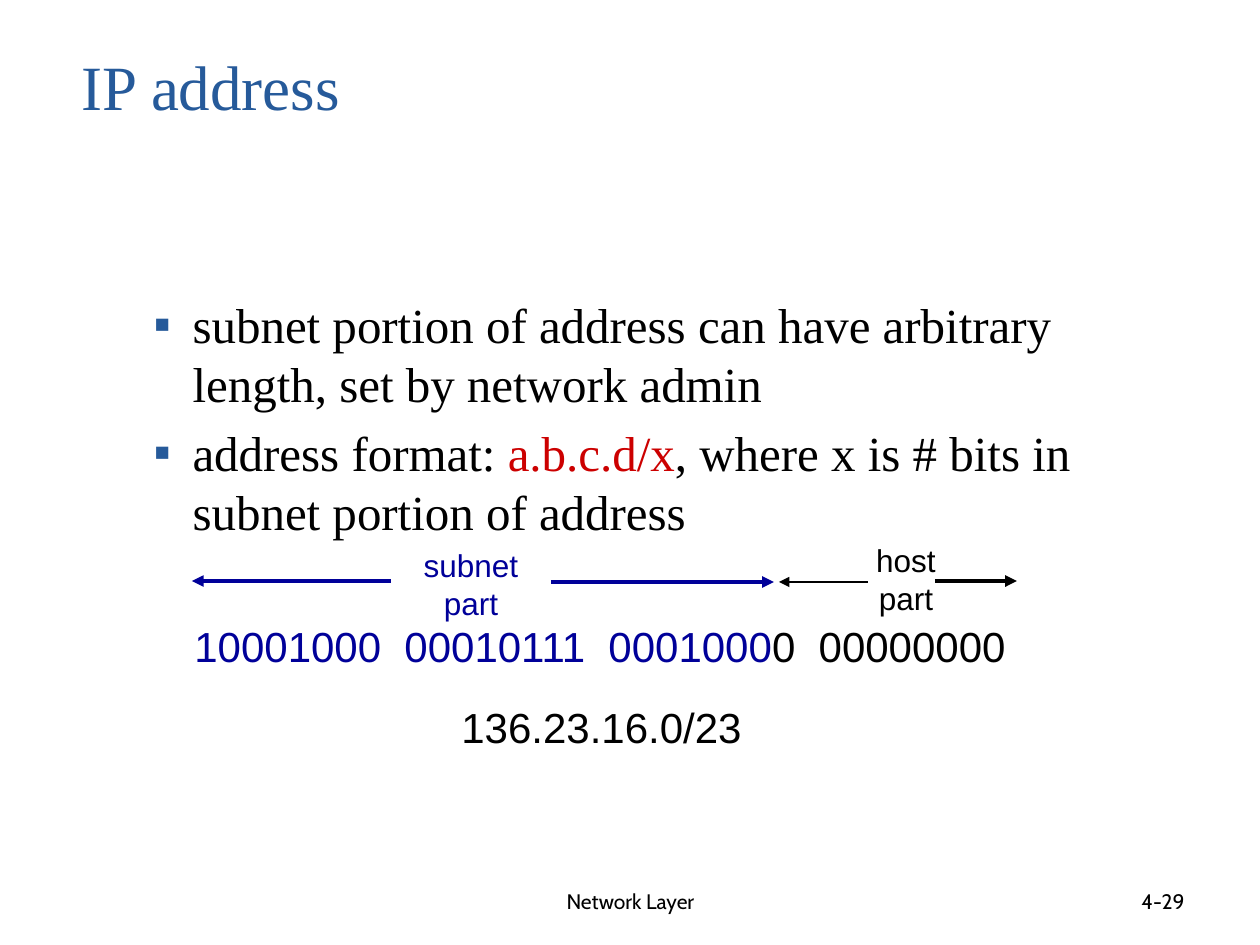
from lxml.etree import SubElement
from pptx import Presentation
from pptx.dml.color import RGBColor
from pptx.enum.shapes import MSO_CONNECTOR
from pptx.enum.text import MSO_ANCHOR as Anchor, MSO_AUTO_SIZE as AutoSize, PP_ALIGN as Align
from pptx.oxml.ns import qn
from pptx.util import Pt

EMU_PER_PX = 914400 / 126
COLORS = {"title": "265A9A", "ink": "000000", "subnet": "000099", "accent": "CC0000"}
SERIF, SANS, FOOTER = "Times New Roman", "Arial", "Cabin"


def px(length):
    """Turn a length in px into EMU."""
    return round(length * EMU_PER_PX)


def add_text(paragraph, text, font=SANS, size=24, color="ink"):
    """Add one formatted run to a paragraph."""
    run = paragraph.add_run()
    run.text = text
    run.font.name = font
    run.font.size = Pt(size)
    run.font.color.rgb = RGBColor.from_string(COLORS[color])


class AddressSlide:
    """Hold the slide and draw each kind of element on it."""

    def __init__(self, deck):
        """Start a title and content slide."""
        self.slide = deck.slides.add_slide(deck.slide_layouts[1])

    def place(self, shape, left, top, width, height):
        """Move a placeholder and return its text frame."""
        shape.left, shape.top = px(left), px(top)
        shape.width, shape.height = px(width), px(height)
        shape.text_frame.auto_size = AutoSize.NONE
        return shape.text_frame

    def title(self, text, *box):
        """Fill the title placeholder."""
        frame = self.place(self.slide.shapes.title, *box)
        frame.vertical_anchor = Anchor.MIDDLE
        heading = frame.paragraphs[0]
        heading.alignment = Align.LEFT
        add_text(heading, text, font=SERIF, size=36, color="title")

    def bullets(self, items, *box):
        """Fill the body placeholder with square-bulleted items of (text, color) runs."""
        frame = self.place(self.slide.placeholders[1], *box)
        frame.vertical_anchor = Anchor.TOP
        for index, runs in enumerate(items):
            item = frame.add_paragraph() if index else frame.paragraphs[0]
            item.level = 1
            item.space_before = Pt(6 if index else 0)
            props = item._p.get_or_add_pPr()
            props.set("marL", str(px(102)))
            props.set("indent", str(-px(39)))
            bullet_color = SubElement(props, qn("a:buClr"))
            SubElement(bullet_color, qn("a:srgbClr"), val=COLORS["title"])
            SubElement(props, qn("a:buFont"), typeface=SANS)
            SubElement(props, qn("a:buChar"), char="▪")
            for text, color in runs:
                add_text(item, text, font=SERIF, size=28, color=color)

    def label(self, lines, *box, align=Align.LEFT, anchor=Anchor.TOP, **style):
        """Add a text box of lines, each a list of (text, color) runs."""
        frame = self.slide.shapes.add_textbox(*map(px, box)).text_frame
        frame.word_wrap = False
        frame.vertical_anchor = anchor
        for index, runs in enumerate(lines):
            line = frame.add_paragraph() if index else frame.paragraphs[0]
            line.alignment = align
            for text, color in runs:
                add_text(line, text, color=color, **style)

    def arrow(self, start, end, y, color, width=2.25):
        """Add a horizontal arrow."""
        line = self.slide.shapes.add_connector(
            MSO_CONNECTOR.STRAIGHT, px(start), px(y), px(end), px(y))
        line.line.color.rgb = RGBColor.from_string(COLORS[color])
        line.line.width = Pt(width)
        SubElement(line.line._get_or_add_ln(), qn("a:tailEnd"), type="triangle")
        SubElement(line._element.spPr, qn("a:effectLst"))


def main():
    """Build the IP address slide."""
    deck = Presentation()
    deck.slide_width, deck.slide_height = px(1260), px(945)
    page = AddressSlide(deck)

    page.title("IP address", 69, 27, 1071, 117)
    page.bullets([
        [("subnet portion of address can have arbitrary length, set by network admin", "ink")],
        [("address format: ", "ink"), ("a.b.c.d/x", "accent"),
         (", where x is # bits in subnet portion of address", "ink")],
    ], 78, 288, 1118, 359)

    page.label([[("10001000  00010111  0001000", "subnet"), ("0  00000000", "ink")]],
               182, 614, 846, 63)
    page.label([[("136.23.16.0/23", "ink")]], 449, 695, 311, 64)
    for part, color, box in [("subnet", "subnet", (406, 540, 130, 88)),
                             ("host", "ink", (856, 535, 100, 88))]:
        page.label([[(part, color)], [("part", color)]], *box, align=Align.CENTER, size=18)

    page.arrow(391, 192, 581, "subnet")
    page.arrow(551, 774, 582, "subnet")
    page.arrow(868, 779, 582, "ink", width=1.5)
    page.arrow(935, 1017, 581, "ink")

    for text, align, box in [("Network Layer", Align.CENTER, (431, 876, 399, 50)),
                             ("4-29", Align.RIGHT, (903, 876, 294, 50))]:
        page.label([[(text, "ink")]], *box, align=align, anchor=Anchor.MIDDLE,
                   font=FOOTER, size=12)
    deck.save("out.pptx")


if __name__ == "__main__":
    main()
